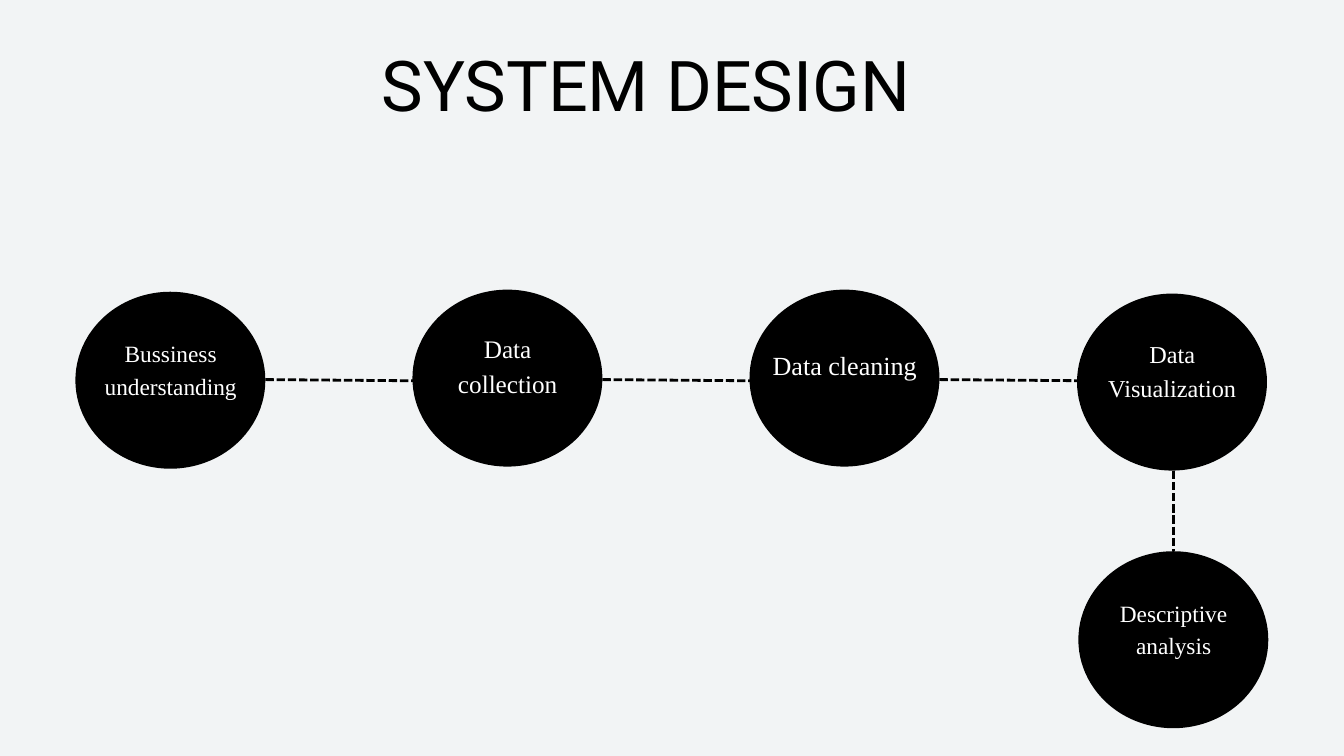
from dataclasses import dataclass
from typing import NamedTuple

from lxml.etree import SubElement
from pptx import Presentation
from pptx.dml.color import RGBColor as RGB
from pptx.enum.dml import MSO_LINE
from pptx.enum.shapes import MSO_CONNECTOR, MSO_SHAPE
from pptx.enum.text import MSO_ANCHOR, PP_ALIGN
from pptx.oxml.ns import qn
from pptx.slide import Slide
from pptx.util import Cm, Pt


@dataclass(frozen=True)
class Theme:
    background: RGB = RGB(0xF2, 0xF4, 0xF5)
    ink: RGB = RGB(0, 0, 0)
    label: RGB = RGB(0xFF, 0xFF, 0xFF)
    title_font: str = "Roboto"
    label_font: str = "Times New Roman"
    title_size: float = 75
    title_spacing: float = 82.5
    label_spacing: float = 1.4  # line pitch as a multiple of the type size
    line_width: float = 3


class Step(NamedTuple):
    text: str
    left: float
    top: float
    size: float


class Link(NamedTuple):
    x1: float
    y1: float
    x2: float
    y2: float


THEME = Theme()

# Lengths in centimetres
STEP_W, STEP_H = 7.18, 6.69
LABEL_W, LABEL_H = 5.84, 6.45
LABEL_INSET, LABEL_RAISE = 0.68, 0.61
LINK_Y, LINK_W, LINK_DROP = 14.35, 6.27, 0.05

STEPS = [
    Step("Bussiness understanding", 2.85, 11.03, 25),
    Step("Data collection", 15.59, 10.95, 27),
    Step("Data cleaning", 28.33, 10.95, 28),
    Step("Data Visualization", 40.71, 11.1, 26),
    Step("Descriptive analysis", 40.76, 20.84, 25),
]


def add_text(s: Slide, text: str, box: tuple[float, ...], font: str, size: float,
             color: RGB, spacing: float, inset: float = 0,
             align: PP_ALIGN = PP_ALIGN.LEFT,
             anchor: MSO_ANCHOR = MSO_ANCHOR.TOP) -> None:
    tf = s.shapes.add_textbox(*map(Cm, box)).text_frame
    tf.word_wrap = True
    tf.vertical_anchor = anchor
    tf.margin_left = tf.margin_right = tf.margin_top = tf.margin_bottom = Cm(inset)
    p = tf.paragraphs[0]
    p.alignment = align
    p.line_spacing = Pt(spacing)
    r = p.add_run()
    r.text = text
    r.font.name = font
    r.font.size = Pt(size)
    r.font.color.rgb = color


def add_step(s: Slide, step: Step) -> None:
    sp = s.shapes.add_shape(MSO_SHAPE.OVAL, Cm(step.left), Cm(step.top),
                            Cm(STEP_W), Cm(STEP_H))
    sp.shadow.inherit = False
    sp.fill.solid()
    sp.fill.fore_color.rgb = THEME.ink
    sp.line.fill.background()
    # Labels share a bottom offset and grow upwards with the type size
    height = LABEL_H + 0.07 * (step.size - 25)
    top = step.top + STEP_H - LABEL_RAISE - height
    add_text(s, step.text, (step.left + LABEL_INSET, top, LABEL_W, height),
             THEME.label_font, step.size, THEME.label,
             step.size * THEME.label_spacing, 0.15,
             PP_ALIGN.CENTER, MSO_ANCHOR.MIDDLE)


def add_link(s: Slide, link: Link) -> None:
    line = s.shapes.add_connector(MSO_CONNECTOR.STRAIGHT, *map(Cm, link))
    line.line.color.rgb = THEME.ink
    line.line.width = Pt(THEME.line_width)
    line.line.dash_style = MSO_LINE.SQUARE_DOT
    SubElement(line._element.spPr, qn("a:effectLst"))


def main() -> None:
    prs = Presentation()
    prs.slide_width, prs.slide_height = Cm(50.8), Cm(28.58)
    s = prs.slides.add_slide(prs.slide_layouts[6])
    s.background.fill.solid()
    s.background.fill.fore_color.rgb = THEME.background

    # Title
    add_text(s, "SYSTEM DESIGN", (14.43, 1.85, 21.97, 2.97), THEME.title_font,
             THEME.title_size, THEME.ink, THEME.title_spacing)

    # Process steps
    for step in STEPS:
        add_step(s, step)

    # Links along the row, then down to the last step
    for step in STEPS[:3]:
        x = step.left + STEP_W
        add_link(s, Link(x, LINK_Y, x + LINK_W, LINK_Y + LINK_DROP))
    upper, lower = STEPS[-2:]
    x = lower.left + STEP_W / 2
    add_link(s, Link(x, upper.top + STEP_H, x, lower.top))

    prs.save("out.pptx")


if __name__ == "__main__":
    main()
